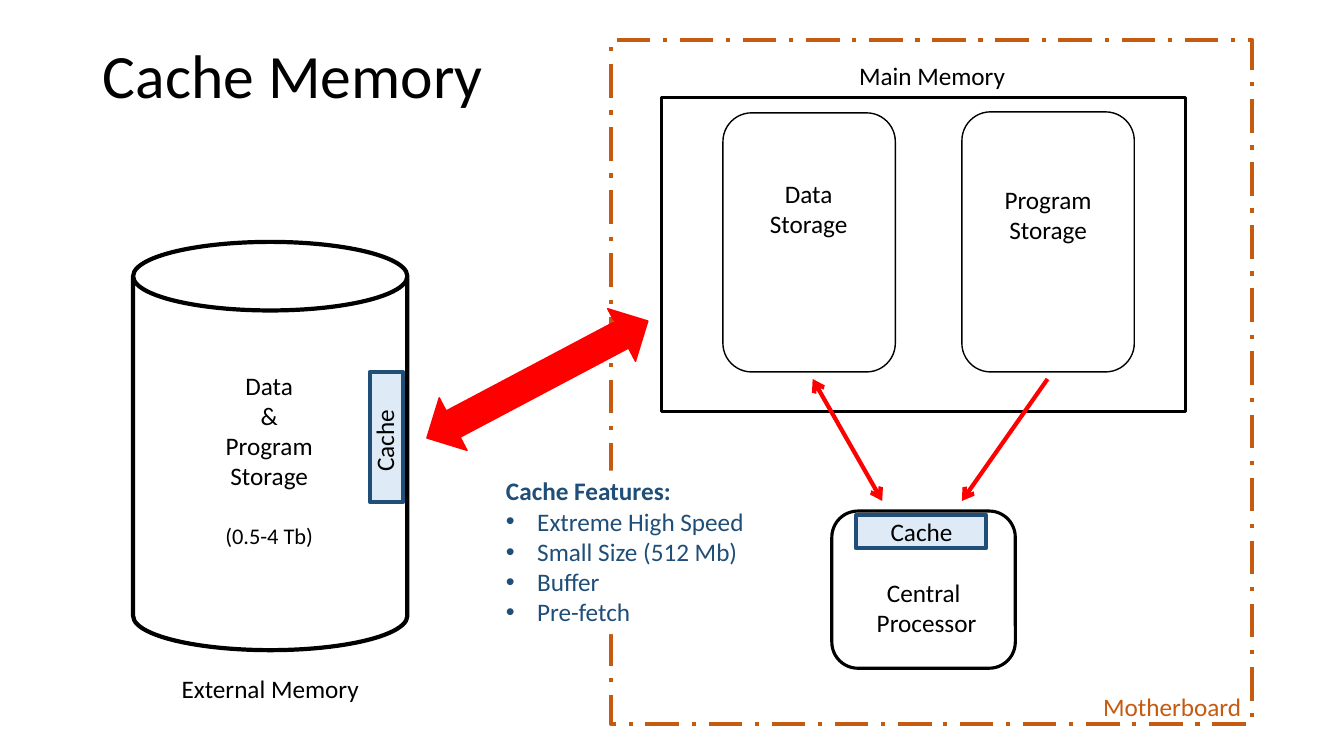
from lxml import etree
from pptx import Presentation
from pptx import util as u
from pptx.dml.color import RGBColor
from pptx.enum import dml, shapes, text
from pptx.oxml.ns import qn

COLORS = {"black": "000000", "red": "FF0000", "orange": "C55A11",
          "navy": "1F4E79", "pale": "DEEBF7", "white": "FFFFFF"}
FONT = "Calibri"
SHAPE = shapes.MSO_SHAPE

deck = Presentation()
deck.slide_width, deck.slide_height = u.Inches(13.33), u.Inches(7.5)
slide = deck.slides.add_slide(deck.slide_layouts[5])


def add_box(kind, place, line=None, width=1, fill=None, rotation=0):
    box = slide.shapes.add_shape(kind, *map(u.Inches, place))
    box.shadow.inherit = False
    box.rotation = rotation
    if fill:
        box.fill.solid()
        box.fill.fore_color.rgb = RGBColor.from_string(COLORS[fill])
    else:
        box.fill.background()
    if line:
        box.line.color.rgb = RGBColor.from_string(COLORS[line])
        box.line.width = u.Pt(width)
    else:
        box.line.fill.background()
    return box


def write_lines(box, lines, color="black", align=text.PP_ALIGN.CENTER, bulleted=False):
    """Fill a box with 18 pt lines; if bulleted, all but the first get a bullet."""
    frame = box.text_frame
    frame.word_wrap = False
    frame.vertical_anchor = text.MSO_ANCHOR.TOP
    for i, line in enumerate(lines):
        paragraph = frame.paragraphs[0] if i == 0 else frame.add_paragraph()
        paragraph.text = line
        paragraph.alignment = align
        if bulleted and i:
            properties = paragraph._p.get_or_add_pPr()
            properties.set("marL", str(u.Inches(0.31)))
            properties.set("indent", str(u.Inches(-0.31)))
            etree.SubElement(properties, qn("a:buFont")).set("typeface", "Arial")
            etree.SubElement(properties, qn("a:buChar")).set("char", "•")
        paragraph.font.name = FONT
        paragraph.font.size = u.Pt(18)
        paragraph.font.color.rgb = RGBColor.from_string(COLORS[color])
    return frame.paragraphs


# Title
title = slide.shapes.title
title.left, title.top, title.width, title.height = map(u.Inches, (0.92, 0.4, 11.5, 1.45))
title.text_frame.text = "Cache Memory"
title.text_frame.vertical_anchor = text.MSO_ANCHOR.TOP
heading = title.text_frame.paragraphs[0]
heading.alignment = text.PP_ALIGN.LEFT
heading.line_spacing = 0.9
heading.font.name = FONT
heading.font.size = u.Pt(44)
heading.font.color.rgb = RGBColor.from_string(COLORS["black"])

# Memory and processor outlines
for kind, place, width in [
    (SHAPE.CAN, (1.32, 2.4, 2.72, 4.05), 3),
    (SHAPE.ROUNDED_RECTANGLE, (8.25, 5.07, 1.82, 1.56), 2.25),
    (SHAPE.RECTANGLE, (6.56, 0.97, 5.2, 3.11), 2.25),
    (SHAPE.ROUNDED_RECTANGLE, (7.17, 1.12, 1.71, 2.57), 1),
    (SHAPE.ROUNDED_RECTANGLE, (9.54, 1.11, 1.71, 2.58), 1),
]:
    add_box(kind, place, "black", width)

# Paths between main memory and processor
for start, end, arrowheads in [
    ((8.06, 3.76), (8.75, 4.97), ("a:headEnd", "a:tailEnd")),
    ((10.39, 3.76), (9.54, 4.97), ("a:tailEnd",)),
]:
    bus = slide.shapes.add_connector(shapes.MSO_CONNECTOR.STRAIGHT, *map(u.Inches, start + end))
    bus.line.color.rgb = RGBColor.from_string(COLORS["red"])
    bus.line.width = u.Pt(3)
    properties = bus._element.spPr
    for arrowhead in arrowheads:
        etree.SubElement(properties.find(qn("a:ln")), qn(arrowhead)).set("type", "arrow")
    etree.SubElement(properties, qn("a:effectLst"))

motherboard = add_box(SHAPE.RECTANGLE, (6.06, 0.4, 6.36, 6.78), "orange", 3)
motherboard.line.dash_style = dml.MSO_LINE.LONG_DASH_DOT

# Labels
for place, lines, color in [
    ((1.69, 6.63, 1.98, 0.4), ["External Memory"], "black"),
    ((8.59, 5.68, 1.2, 0.71), ["Central ", "Processor"], "black"),
    ((8.41, 0.55, 1.67, 0.4), ["Main Memory"], "black"),
    ((7.53, 1.72, 0.98, 0.71), ["Data", "Storage"], "black"),
    ((9.86, 1.78, 1.07, 0.71), ["Program", "Storage"], "black"),
    ((10.83, 6.81, 1.59, 0.4), ["Motherboard"], "orange"),
]:
    write_lines(slide.shapes.add_textbox(*map(u.Inches, place)), lines, color)

disk_label = slide.shapes.add_textbox(*map(u.Inches, (2.13, 3.62, 1.08, 1.88)))
capacity = write_lines(disk_label, ["Data", "&", "Program", "Storage", "(0.5-4 Tb)"])[-1]
capacity.font.size = u.Pt(16)
capacity.space_before = u.Pt(22)

add_box(SHAPE.LEFT_RIGHT_ARROW, (4.09, 3.47, 2.48, 0.59), "red", 1, "red", 332.1)

# Caches of the processor and of the external memory
for cache_place, name_place, rotation in [
    ((8.49, 5.11, 1.29, 0.33), (8.73, 5.07, 0.82, 0.4), 0),
    ((3.19, 4.17, 1.29, 0.33), (3.4, 4.17, 0.82, 0.4), 270),
]:
    add_box(SHAPE.RECTANGLE, cache_place, "navy", 3, "pale", rotation)
    cache_name = slide.shapes.add_textbox(*map(u.Inches, name_place))
    cache_name.rotation = rotation
    write_lines(cache_name, ["Cache"])

features = add_box(SHAPE.RECTANGLE, (4.92, 4.67, 2.59, 1.62), fill="white")
feature_lines = write_lines(
    features,
    ["Cache Features:", "Extreme High Speed", "Small Size (512 Mb)", "Buffer", "Pre-fetch"],
    "navy", text.PP_ALIGN.LEFT, bulleted=True)
feature_lines[0].font.bold = True

deck.save("out.pptx")
